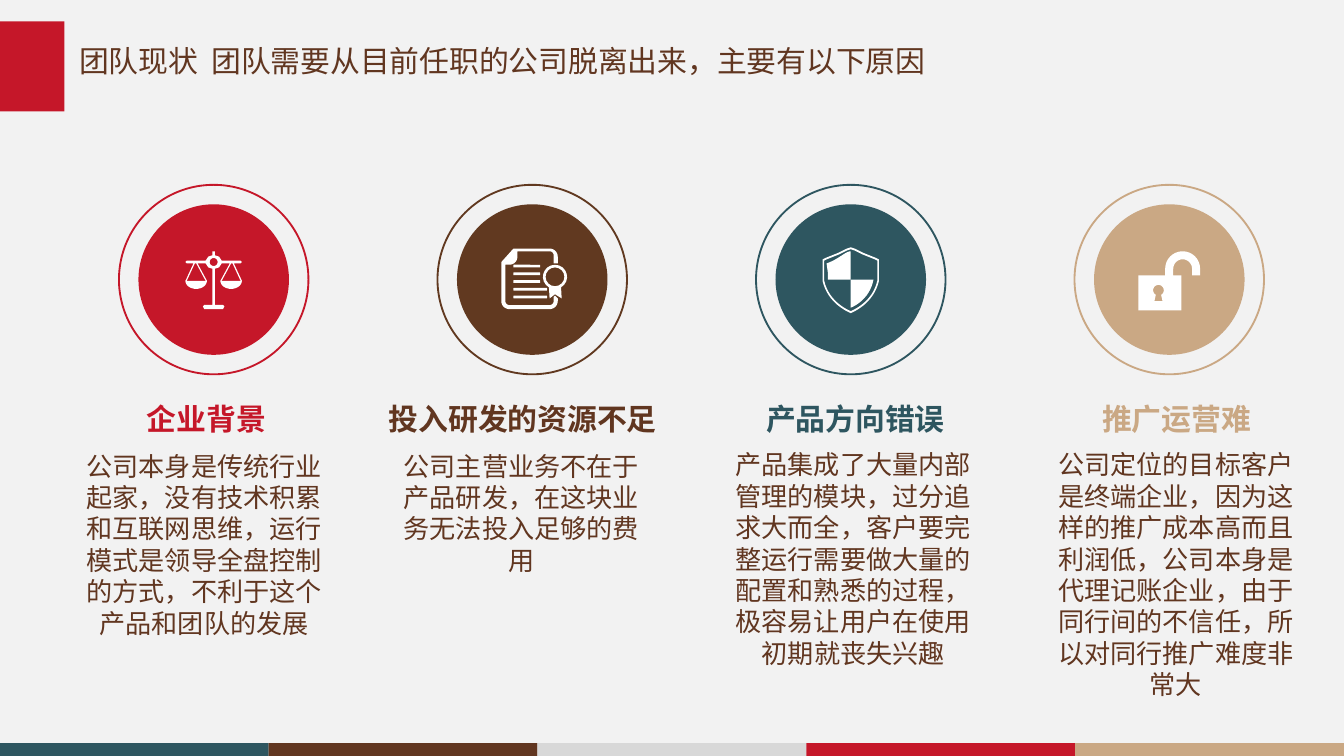
"""Build the slide on the team's current situation and its four reasons to leave."""
import math

from pptx import Presentation
from pptx.dml.color import RGBColor
from pptx.enum import shapes, text
from pptx.util import Inches, Pt

RED = RGBColor(0xC5, 0x17, 0x29)
BROWN = RGBColor(0x61, 0x36, 0x20)
BADGE_BROWN = RGBColor(0x61, 0x39, 0x20)
TEAL = RGBColor(0x2E, 0x56, 0x60)
TAN = RGBColor(0xCA, 0xA8, 0x84)
GRAY = RGBColor(0xD8, 0xD8, 0xD8)
PAPER = RGBColor(0xF2, 0xF2, 0xF2)
WHITE = RGBColor(0xFF, 0xFF, 0xFF)
FONT = "Noto Sans CJK SC"
BADGE_Y = 2.08


def add_text(slide, content, left, top, width, height, *, size, color, bold=False,
             align=text.PP_ALIGN.CENTER, wrap=True, spacing=1.0):
    """Add a one-paragraph text box."""
    box = slide.shapes.add_textbox(*map(Inches, (left, top, width, height)))
    frame = box.text_frame
    frame.word_wrap = wrap
    paragraph = frame.paragraphs[0]
    paragraph.alignment = align
    paragraph.line_spacing = spacing
    run = paragraph.add_run()
    run.text = content
    run.font.name, run.font.size, run.font.bold = FONT, Pt(size), bold
    run.font.color.rgb = color
    properties = run._r.get_or_add_rPr()
    east_asian = properties.makeelement(
        "{http://schemas.openxmlformats.org/drawingml/2006/main}ea", {"typeface": FONT})
    properties.append(east_asian)


def paint(shape, fill=None, line=None):
    """Give a shape a plain fill or outline and no shadow."""
    shape.shadow.inherit = False
    if fill is None:
        shape.fill.background()
    else:
        shape.fill.solid()
        shape.fill.fore_color.rgb = fill
    if line is None:
        shape.line.fill.background()
    else:
        shape.line.color.rgb = line
        shape.line.width = Pt(1)


def add_preset(parent, kind, left, top, width, height, **colors):
    """Add a preset shape to a slide or group."""
    shape = parent.shapes.add_shape(kind, *map(Inches, (left, top, width, height)))
    paint(shape, **colors)


def add_outline(group, center, *contours):
    """Add a white freeform whose later contours cut holes in the first."""
    placed = [[(Inches(center + x), Inches(BADGE_Y + y)) for x, y in contour]
              for contour in contours]
    builder = group.shapes.build_freeform(*placed[0][0])
    builder.add_line_segments(placed[0][1:], close=True)
    for contour in placed[1:]:
        builder.move_to(*contour[0])
        builder.add_line_segments(contour[1:], close=True)
    paint(builder.convert_to_shape(), fill=WHITE)


def arc(x, y, radius, start, end, height=None, steps=16):
    """Return points along an arc, with degrees running clockwise."""
    angles = [math.radians(start + (end - start) * i / steps) for i in range(steps + 1)]
    return [(x + radius * math.cos(a), y + (height or radius) * math.sin(a)) for a in angles]


def bezier(*controls, steps=16):
    """Return points along a cubic curve."""
    points = []
    for i in range(steps + 1):
        t = i / steps
        weights = ((1 - t) ** 3, 3 * t * (1 - t) ** 2, 3 * t * t * (1 - t), t ** 3)
        points.append(tuple(sum(w * c[axis] for w, c in zip(weights, controls))
                            for axis in (0, 1)))
    return points


def mirrored(half):
    """Close a right-hand outline with its reflection."""
    return half + [(-x, y) for x, y in reversed(half)]


def draw_scales(group, center):
    """Draw a balance with two pans."""
    half = [(0, .22), (.07, .22), (.08, .2), (.07, .19), (.01, .19), (.01, -.08),
            (.04, -.09), (.06, -.12), (.12, -.12), (.05, .01), (.06, .01), (.13, -.12),
            (.14, -.12), (.2, .01), (.21, .01), (.15, -.12), (.2, -.12), (.21, -.13),
            (.2, -.14), (.06, -.14), (.04, -.17), (.01, -.18), (.01, -.21), (0, -.21)]
    add_outline(group, center, mirrored(half), arc(0, -.13, .03, 0, 360))
    for side in (-.13, .13):
        add_outline(group, center, arc(side, .01, .08, 0, 180, height=.06))


def draw_certificate(group, center):
    """Draw a page with text lines and a medal."""
    page = [(.17, .12), (.19, .14), *arc(.13, .16, .06, 0, 90),
            *arc(-.17, .16, .06, 90, 180), (-.23, -.13), (-.14, -.23),
            *arc(.13, -.17, .06, 270, 360), (.19, -.12), (.16, -.12),
            *arc(.13, -.18, .03, 360, 270), (-.11, -.21), *arc(-.17, -.17, .06, 0, 90),
            (-.2, -.11), *arc(-.17, .16, .03, 180, 90), *arc(.13, .16, .03, 90, 0),
            (.16, .13)]
    add_outline(group, center, page)
    for row, width in enumerate((.2, .2, .2, .25, .25)):
        add_preset(group, shapes.MSO_SHAPE.ROUNDED_RECTANGLE, center - .14,
                   BADGE_Y - .11 + .23 * row / 4, width, .02, fill=WHITE)
    medal = [*arc(.17, -.02, .09, 120, 420), (.22, .14), (.17, .11), (.13, .14)]
    add_outline(group, center, medal, arc(.17, -.02, .07, 0, 360))


def draw_shield(group, center):
    """Draw a shield with two filled quarters."""
    rim = mirrored([(0, -.24), (.03, -.23), (.09, -.2), (.19, -.16), (.21, -.15), (.21, -.05),
                    *bezier((.21, .01), (.17, .18), (.02, .24), (0, .25))])
    add_outline(group, center, rim, [(x * .94, y * .94) for x, y in rim])
    add_outline(group, center, [(0, 0), (-.17, 0), (-.17, -.05),
                                *bezier((-.18, -.12), (-.09, -.15), (-.04, -.21), (0, -.21))])
    add_outline(group, center, [(0, 0), *bezier((0, .21), (0, .21), (.14, .16), (.17, 0))])


def draw_padlock(group, center):
    """Draw an open padlock."""
    body = [(-.23, -.03), (-.03, -.03), *arc(.1, -.08, .13, 180, 360), (.23, -.03),
            (.17, -.03), *arc(.1, -.08, .07, 360, 180), (.03, -.03), (.09, -.03),
            (.09, .23), (-.23, .23)]
    keyhole = [*arc(-.08, .08, .04, 120, 420), (-.05, .16), (-.11, .16)]
    add_outline(group, center, body, keyhole)


def add_badge(slide, center, color, draw_icon):
    """Add a ringed disc with its icon as one group."""
    group = slide.shapes.add_group_shape()
    for diameter, colors in ((1.12, {"fill": color}), (1.41, {"line": color})):
        add_preset(group, shapes.MSO_SHAPE.OVAL, center - diameter / 2,
                   BADGE_Y - diameter / 2, diameter, diameter, **colors)
    draw_icon(group, center)


def add_frame(slide):
    """Add the background, the title marker and the bottom stripe."""
    slide.background.fill.solid()
    slide.background.fill.fore_color.rgb = PAPER
    for index, color in enumerate((TEAL, BROWN, GRAY, RED, TAN)):
        add_preset(slide, shapes.MSO_SHAPE.RECTANGLE, 2 * index, 5.53, 2, .1, fill=color)
    add_preset(slide, shapes.MSO_SHAPE.RECTANGLE, 0, .16, .48, .67, fill=RED)


def main():
    """Build and save the slide."""
    presentation = Presentation()
    presentation.slide_width = Inches(10)
    presentation.slide_height = Inches(10 * 9 / 16)
    slide = presentation.slides.add_slide(presentation.slide_layouts[6])
    add_frame(slide)
    add_text(slide, "团队现状  团队需要从目前任职的公司脱离出来，主要有以下原因", .49, .3, 7.5, .39,
             size=16, color=BROWN, align=text.PP_ALIGN.LEFT, spacing=.9)
    reasons = [
        ("企业背景", .99, 1.09, RED, RED, draw_scales, .47, 3.3, 1.03,
         "公司本身是传统行业起家，没有技术积累和互联网思维，运行模式是领导全盘控制的方式，不利于这个产品和团队的发展"),
        ("投入研发的资源不足", 2.79, 2.2, BROWN, BADGE_BROWN, draw_certificate, 2.83, 3.3, .66,
         "公司主营业务不在于产品研发，在这块业务无法投入足够的费用"),
        ("产品方向错误", 5.6, 1.53, TEAL, TEAL, draw_shield, 5.3, 3.29, 1.29,
         "产品集成了大量内部管理的模块，过分追求大而全，客户要完整运行需要做大量的配置和熟悉的过程，极容易让用户在使用初期就丧失兴趣"),
        ("推广运营难", 8.1, 1.31, TAN, TAN, draw_padlock, 7.7, 3.29, .66,
         "公司定位的目标客户是终端企业，因为这样的推广成本高而且利润低，公司本身是代理记账企业，由于同行间的不信任，所以对同行推广难度非常大"),
    ]
    for index, (heading, heading_left, heading_width, color, badge_color, draw_icon,
                body_left, body_top, body_height, body) in enumerate(reasons):
        add_badge(slide, 1.59 + 2.37 * index, badge_color, draw_icon)
        add_text(slide, heading, heading_left, 2.93, heading_width, .37,
                 size=16, color=color, bold=True, wrap=False)
        add_text(slide, body, body_left, body_top, 2.1, body_height,
                 size=14, color=BROWN, spacing=Pt(16.8))
    presentation.save("out.pptx")


if __name__ == "__main__":
    main()
